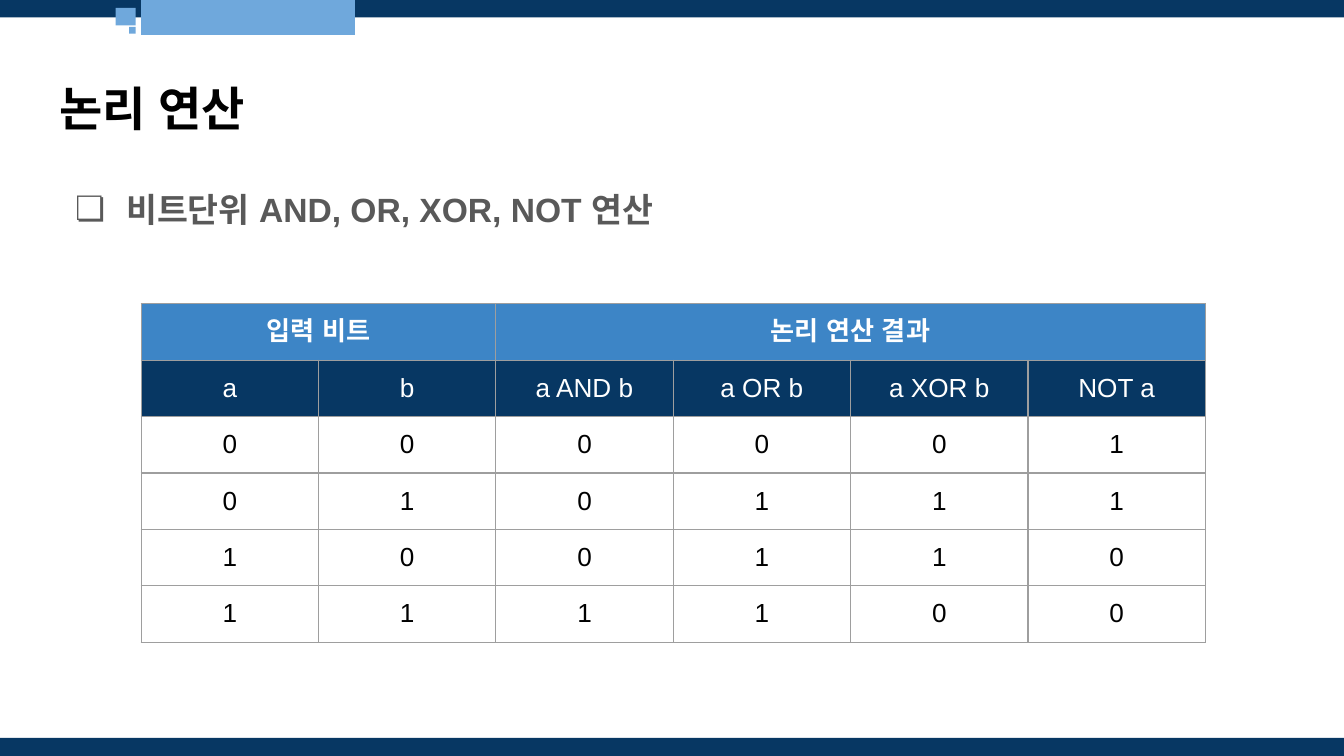
from lxml.etree import SubElement
from pptx import Presentation
from pptx.dml.color import RGBColor
from pptx.enum.shapes import MSO_SHAPE
from pptx.enum.text import MSO_ANCHOR, MSO_AUTO_SIZE, PP_ALIGN
from pptx.oxml.ns import qn
from pptx.util import Inches, Pt

NAVY, SKY, BLUE = "073763", "6FA8DC", "3D85C6"
WHITE, BLACK, GRAY, BORDER = "FFFFFF", "000000", "595959", "9E9E9E"


def color(value):
    return RGBColor.from_string(value)


def write(text_frame, text, size, font_color, bold, align):
    text_frame.text = text
    text_frame.word_wrap = True
    paragraph = text_frame.paragraphs[0]
    paragraph.alignment = align
    run = paragraph.runs[0]
    run.font.size = Pt(size)
    run.font.bold = bold
    run.font.color.rgb = color(font_color)
    run.font.name = "Arial"
    for script in ("ea", "cs"):
        SubElement(run._r.get_or_add_rPr(), qn(f"a:{script}"), typeface="Arial")
    return paragraph


presentation = Presentation()
presentation.slide_width = Inches(10)
presentation.slide_height = Inches(5.625)
slide = presentation.slides.add_slide(presentation.slide_layouts[5])

bars = [
    (-0.01, -0.01, 10.03, 0.14, NAVY),
    (1.05, 0, 1.59, 0.26, SKY),
    (0.86, 0.06, 0.15, 0.13, SKY),
    (0.96, 0.2, 0.05, 0.05, SKY),
    (-0.01, 5.49, 10.03, 0.14, NAVY),
]
for left, top, width, height, fill in bars:
    shape = slide.shapes.add_shape(
        MSO_SHAPE.RECTANGLE, Inches(left), Inches(top), Inches(width), Inches(height))
    shape.shadow.inherit = False
    shape.fill.solid()
    shape.fill.fore_color.rgb = color(fill)
    shape.line.fill.background()

title = slide.shapes.title
title.left, title.top = Inches(0.34), Inches(0.49)
title.width, title.height = Inches(9.32), Inches(0.63)
write(title.text_frame, "논리 연산", 25.2, BLACK, True, PP_ALIGN.LEFT)
title.text_frame.vertical_anchor = MSO_ANCHOR.MIDDLE

body = slide.shapes.add_textbox(Inches(0.34), Inches(1.26), Inches(9.32), Inches(3.74))
paragraph = write(body.text_frame, "비트단위 AND, OR, XOR, NOT 연산", 18, GRAY, True, PP_ALIGN.LEFT)
paragraph.line_spacing = 1.15
properties = paragraph._p.get_or_add_pPr()
properties.set("marL", str(Inches(0.5)))
properties.set("indent", str(Inches(-0.38)))
bullet_color = SubElement(properties, qn("a:buClr"))
SubElement(bullet_color, qn("a:srgbClr"), val=GRAY)
SubElement(properties, qn("a:buSzPts"), val="1800")
SubElement(properties, qn("a:buFont"), typeface="Arial")
SubElement(properties, qn("a:buChar"), char="❏")

for text_frame in (title.text_frame, body.text_frame):
    text_frame.auto_size = MSO_AUTO_SIZE.NONE
    text_frame.margin_left = text_frame.margin_right = Inches(0.1)
    text_frame.margin_top = text_frame.margin_bottom = Inches(0.1)

rows = [
    ["입력 비트", "", "논리 연산 결과", "", "", ""],
    ["a", "b", "a AND b", "a OR b", "a XOR b", "NOT a"],
]
for a in (0, 1):
    for b in (0, 1):
        rows.append([str(bit) for bit in (a, b, a & b, a | b, a ^ b, 1 - a)])

table = slide.shapes.add_table(
    len(rows), 6, Inches(1.05), Inches(2.26), Inches(7.92), Inches(2.52)).table
table.first_row = False
table.horz_banding = False
for column in table.columns:
    column.width = Inches(1.32)
for row in table.rows:
    row.height = Inches(0.42)
table.cell(0, 0).merge(table.cell(0, 1))
table.cell(0, 2).merge(table.cell(0, 5))

header_fills = [BLUE, NAVY]
for row_index, values in enumerate(rows):
    is_header = row_index < len(header_fills)
    for column_index, value in enumerate(values):
        cell = table.cell(row_index, column_index)
        cell.margin_left = cell.margin_right = Inches(0.1)
        cell.margin_top = cell.margin_bottom = Inches(0.1)
        for side in ("L", "R", "T", "B"):
            line = SubElement(cell._tc.get_or_add_tcPr(), qn(f"a:ln{side}"), w=str(Pt(0.75)))
            line_fill = SubElement(line, qn("a:solidFill"))
            SubElement(line_fill, qn("a:srgbClr"), val=BORDER)
        if is_header:
            cell.fill.solid()
            cell.fill.fore_color.rgb = color(header_fills[row_index])
        else:
            cell.fill.background()
        if value:
            write(cell.text_frame, value, 14, WHITE if is_header else BLACK,
                  row_index == 0, PP_ALIGN.CENTER)

presentation.save("out.pptx")
